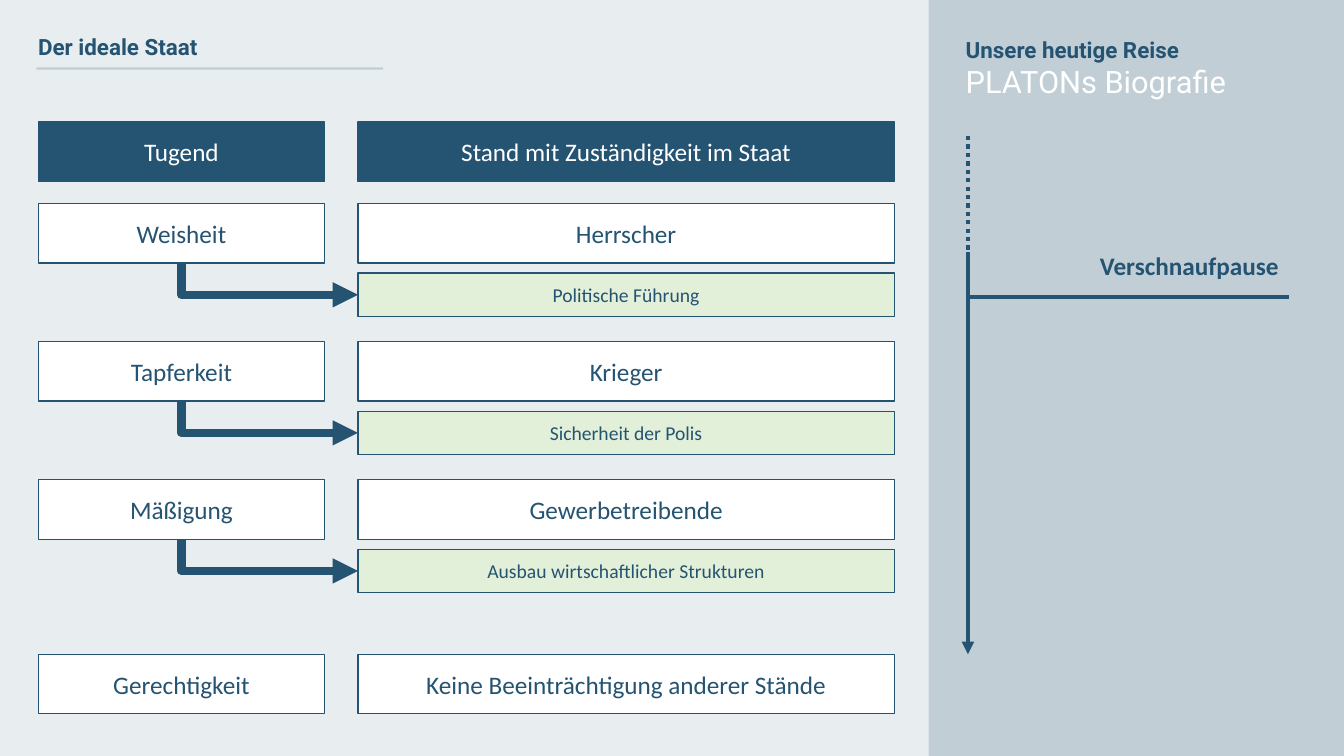
from dataclasses import dataclass

from lxml import etree
from pptx import Presentation
from pptx.dml.color import RGBColor
from pptx.enum.dml import MSO_LINE
from pptx.enum.shapes import MSO_CONNECTOR, MSO_SHAPE
from pptx.enum.text import MSO_ANCHOR, MSO_AUTO_SIZE, PP_ALIGN
from pptx.oxml.ns import qn
from pptx.util import Inches, Pt

STRAIGHT, ELBOW = MSO_CONNECTOR.STRAIGHT, MSO_CONNECTOR.ELBOW
RECT, DOTTED = MSO_SHAPE.RECTANGLE, MSO_LINE.ROUND_DOT
MIDDLE, TOP = MSO_ANCHOR.MIDDLE, MSO_ANCHOR.TOP
LEFT, CENTER, RIGHT = PP_ALIGN.LEFT, PP_ALIGN.CENTER, PP_ALIGN.RIGHT
FIT = MSO_AUTO_SIZE.SHAPE_TO_FIT_TEXT
NAVY, WHITE, GREEN = "255372", "FFFFFF", "E2F0D9"

VIRTUE_X, VIRTUE_W = 0.38, 2.84
ESTATE_X, ESTATE_W = 3.55, 5.32
BOX_H, DUTY_H, DUTY_DY = 0.59, 0.43, 0.69
FIRST_ROW, ROW_STEP = 2.02, 1.37
AXIS_X, AXIS_MID = 9.6, 2.5


@dataclass
class Run:
    text: str
    size: float
    color: str = NAVY
    font: str = "Calibri"
    bold: bool = False


@dataclass
class Row:
    virtue: str
    estate: str
    duty: str


ROWS = [
    Row("Weisheit", "Herrscher", "Politische Führung"),
    Row("Tapferkeit", "Krieger", "Sicherheit der Polis"),
    Row("Mäßigung", "Gewerbetreibende", "Ausbau wirtschaftlicher Strukturen"),
]


def rgb(color: str) -> RGBColor:
    return RGBColor.from_string(color)


def set_alpha(element, percent: int) -> None:
    for clr in element.iter(qn("a:srgbClr")):
        etree.SubElement(clr, qn("a:alpha")).set("val", str(percent * 1000))


def add_run(p, run: Run) -> None:
    r = p.add_run()
    r.text = run.text
    r.font.size, r.font.name, r.font.bold = Pt(run.size), run.font, run.bold
    r.font.color.rgb = rgb(run.color)


def add_rect(x: float, y: float, w: float, h: float, fill: str):
    sp = s.shapes.add_shape(RECT, Inches(x), Inches(y), Inches(w), Inches(h))
    sp.shadow.inherit = False
    sp.fill.solid()
    sp.fill.fore_color.rgb = rgb(fill)
    return sp


def add_box(x: float, y: float, w: float, h: float, fill: str, run: Run) -> None:
    sp = add_rect(x, y, w, h, fill)
    sp.line.color.rgb = rgb(NAVY)
    sp.line.width = Pt(1)
    tf = sp.text_frame
    tf.word_wrap, tf.vertical_anchor = True, MIDDLE
    p = tf.paragraphs[0]
    p.alignment = CENTER
    add_run(p, run)


def add_pair(y: float, virtue: str, estate: str, fill: str, color: str) -> None:
    add_box(VIRTUE_X, y, VIRTUE_W, BOX_H, fill, Run(virtue, 18, color))
    add_box(ESTATE_X, y, ESTATE_W, BOX_H, fill, Run(estate, 18, color))


def add_text(x: float, y: float, w: float, h: float, runs: list[Run], align=LEFT):
    tf = s.shapes.add_textbox(Inches(x), Inches(y), Inches(w), Inches(h)).text_frame
    tf.word_wrap, tf.vertical_anchor = True, TOP
    p = tf.paragraphs[0]
    p.alignment = align
    for i, run in enumerate(runs):
        if i:
            p.add_line_break()
        add_run(p, run)
    return tf


def add_line(x1: float, y1: float, x2: float, y2: float, width: float,
             arrow: bool = False, kind=STRAIGHT):
    c = s.shapes.add_connector(kind, Inches(x1), Inches(y1), Inches(x2), Inches(y2))
    c.line.color.rgb = rgb(NAVY)
    c.line.width = Pt(width)
    if arrow:
        ln = c.element.spPr.find(qn("a:ln"))
        etree.SubElement(ln, qn("a:tailEnd")).set("type", "triangle")
    etree.SubElement(c.element.spPr, qn("a:effectLst"))
    return c


def add_bent_arrow(x1: float, y1: float, x2: float, y2: float) -> None:
    """Down from (x1, y1), then right to (x2, y2)."""
    dx, dy = x2 - x1, y2 - y1
    left, top = (x1 + x2 - dy) / 2, (y1 + y2 - dx) / 2
    c = add_line(left, top, left + dy, top + dx, 6, True, ELBOW)
    c.rotation = 270
    xfrm = c.element.spPr.find(qn("a:xfrm"))
    xfrm.set("rot", str(270 * 60000))
    xfrm.set("flipH", "1")
    c.element.spPr.find(qn("a:prstGeom")).set("prst", "bentConnector2")


prs = Presentation()
prs.slide_width, prs.slide_height = Inches(13.33), Inches(7.5)
s = prs.slides.add_slide(prs.slide_layouts[6])

# Background and side panel
s.background.fill.solid()
s.background.fill.fore_color.rgb = rgb(NAVY)
set_alpha(s.element, 10)
panel = add_rect(9.21, 0, 4.12, 7.5, NAVY)
panel.line.fill.background()
set_alpha(panel.element.spPr, 20)

# Headings
add_text(9.48, 0.31, 3.58, 0.98, [
    Run("Unsere heutige Reise", 16, font="Roboto", bold=True),
    Run("PLATONs Biografie", 22, WHITE, "Roboto"),
])
heading = add_text(0.28, 0.31, 8.65, 0.69,
                   [Run("Der ideale Staat", 16, font="Roboto", bold=True)])
heading.paragraphs[0].line_spacing = 0.9
rule = add_line(0.36, 0.68, 3.8, 0.68, 1.5)
set_alpha(rule.element.spPr, 20)

# Timeline
add_line(AXIS_X, AXIS_MID, AXIS_X, 6.49, 3, arrow=True)
add_line(AXIS_X, 1.35, AXIS_X, AXIS_MID, 3).line.dash_style = DOTTED
add_line(AXIS_X, 2.95, 12.78, 2.95, 3)
pause = add_text(9.99, 2.43, 2.79, 0.4, [Run("Verschnaufpause", 18, bold=True)], RIGHT)
pause.auto_size = FIT

# Virtues and estates
add_pair(1.21, "Tugend", "Stand mit Zuständigkeit im Staat", NAVY, WHITE)
for i, row in enumerate(ROWS):
    y = FIRST_ROW + i * ROW_STEP
    duty_y = y + DUTY_DY
    add_pair(y, row.virtue, row.estate, WHITE, NAVY)
    add_box(ESTATE_X, duty_y, ESTATE_W, DUTY_H, GREEN, Run(row.duty, 14))
    add_bent_arrow(VIRTUE_X + VIRTUE_W / 2, y + BOX_H, ESTATE_X, duty_y + DUTY_H / 2)
add_pair(6.49, "Gerechtigkeit", "Keine Beeinträchtigung anderer Stände", WHITE, NAVY)

prs.save("out.pptx")
